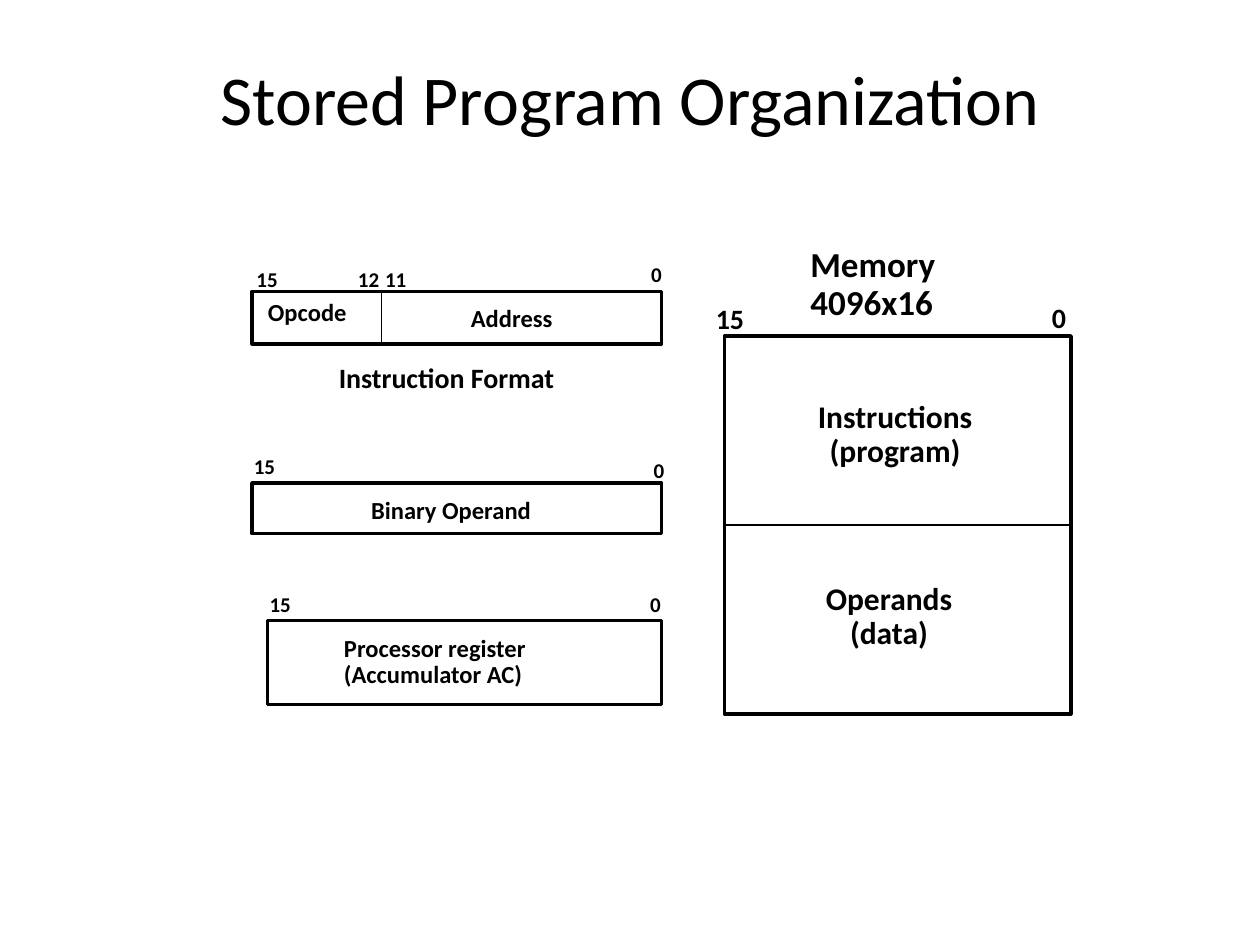
import pptx
import pptx.dml.color
import pptx.enum.shapes
import pptx.enum.text
import pptx.oxml
import pptx.util
from dataclasses import dataclass

Pt = pptx.util.Pt
ALIGN = pptx.enum.text.PP_ALIGN
ANCHOR = pptx.enum.text.MSO_ANCHOR


@dataclass(frozen=True)
class Theme:
    ink = pptx.dml.color.RGBColor(0, 0, 0)
    paper = pptx.dml.color.RGBColor(255, 255, 255)
    font = "Calibri"
    title = 40
    heading = 20
    region = 18
    caption = 16
    field = 14
    bit = 12
    outline = 2


THEME = Theme()
INSET = 7.2
DIGIT_WIDTH = 0.51  # share of the type size

# left, top, width, height
INSTRUCTION = (144, 166.5, 234, 30)
OPERAND = (144, 276, 234, 29)
REGISTER = (153, 354.5, 225, 48)
MEMORY = (414, 192, 198, 216)
OPCODE_EDGE = 218

# text, place, type size, alignment
LABELS = [
    ("Opcode", (146, 168, 84, 21.6), THEME.field, ALIGN.LEFT),
    ("Address", (262, 171.5, 77, 21.6), THEME.field, ALIGN.LEFT),
    ("Instruction Format", (186.5, 204.5, 192, 24), THEME.caption, ALIGN.LEFT),
    ("Binary Operand", (205, 281, 174, 21.6), THEME.field, ALIGN.LEFT),
    ("Processor register (Accumulator AC)", (189.5, 360, 144, 52),
     THEME.field, ALIGN.LEFT),
    ("Memory 4096x16", (456, 138, 108, 71), THEME.heading, ALIGN.LEFT),
    ("Instructions (program)", (448.5, 226, 126, 45), THEME.region, ALIGN.CENTER),
    ("Operands (data)", (456, 330, 104, 45), THEME.region, ALIGN.CENTER),
]

# bit number, left, top, type size
BITS = [
    ("15", 139.5, 150.5, THEME.bit),
    ("12", 197.5, 150.5, THEME.bit),
    ("11", 213, 150.5, THEME.bit),
    ("0", 365, 147.5, THEME.bit),
    ("15", 138, 257.5, THEME.bit),
    ("0", 366.5, 259.5, THEME.bit),
    ("15", 147, 336, THEME.bit),
    ("0", 364.5, 336, THEME.bit),
    ("15", 402, 171, THEME.caption),
    ("0", 594, 170.5, THEME.caption),
]


def assign(target, values):
    for name, value in values.items():
        setattr(target, name, value)


def write(frame, text, size, align, bold):
    para = frame.paragraphs[0]
    para.alignment = align
    span = para.add_run()
    span.text = text
    assign(span.font, {"name": THEME.font, "size": Pt(size), "bold": bold})
    span.font.color.rgb = THEME.ink
    return para


def add_title(slide, text):
    title = slide.shapes.title
    assign(title, {"left": Pt(36), "top": Pt(21.5),
                   "width": Pt(648), "height": Pt(68.5)})
    title.text_frame.vertical_anchor = ANCHOR.MIDDLE
    write(title.text_frame, text, THEME.title, ALIGN.CENTER, False)


def add_word(slide, place):
    """Draw the outlined rectangle that stands for a register or memory."""
    box = slide.shapes.add_shape(
        pptx.enum.shapes.MSO_SHAPE.RECTANGLE, *map(Pt, place))
    box.shadow.inherit = False
    box.fill.solid()
    box.fill.fore_color.rgb = THEME.paper
    box.line.color.rgb = THEME.ink
    box.line.width = Pt(THEME.outline)
    return box


def add_divider(slide, start, end, width):
    line = slide.shapes.add_connector(
        pptx.enum.shapes.MSO_CONNECTOR.STRAIGHT, *map(Pt, start + end))
    line.line.color.rgb = THEME.ink
    line.line.width = Pt(width)
    properties = line._element.spPr
    properties.append(properties.makeelement(
        pptx.oxml.ns.qn("a:effectLst"), {}))
    return line


def add_label(slide, text, place, size, align=ALIGN.LEFT, wrap=True):
    box = slide.shapes.add_textbox(*map(Pt, place))
    assign(box.text_frame, {
        "word_wrap": wrap,
        "margin_left": Pt(INSET), "margin_right": Pt(INSET),
        "margin_top": Pt(INSET / 2), "margin_bottom": Pt(INSET / 2),
    })
    write(box.text_frame, text, size, align, True).line_spacing = 0.9


def add_bit(slide, number, left, top, size):
    width = 2 * INSET + len(number) * size * DIGIT_WIDTH
    height = INSET + size * 1.1
    add_label(slide, number, (left, top, width, height), size, wrap=False)


def main():
    deck = pptx.Presentation()
    assign(deck, {"slide_width": Pt(720), "slide_height": Pt(540)})
    slide = deck.slides.add_slide(deck.slide_layouts[5])
    add_title(slide, "Stored Program Organization")

    for place in (REGISTER, OPERAND, INSTRUCTION):
        add_word(slide, place)
    top, height = INSTRUCTION[1], INSTRUCTION[3]
    add_divider(slide, (OPCODE_EDGE, top), (OPCODE_EDGE, top + height), 1)

    memory = add_word(slide, MEMORY)
    left, top, width, height = MEMORY
    middle = top + height / 2
    divider = add_divider(slide, (left, middle), (left + width, middle), 0.75)
    divider.begin_connect(memory, 1)
    divider.end_connect(memory, 3)

    for label in LABELS:
        add_label(slide, *label)
    for bit in BITS:
        add_bit(slide, *bit)
    deck.save("out.pptx")


if __name__ == "__main__":
    main()
